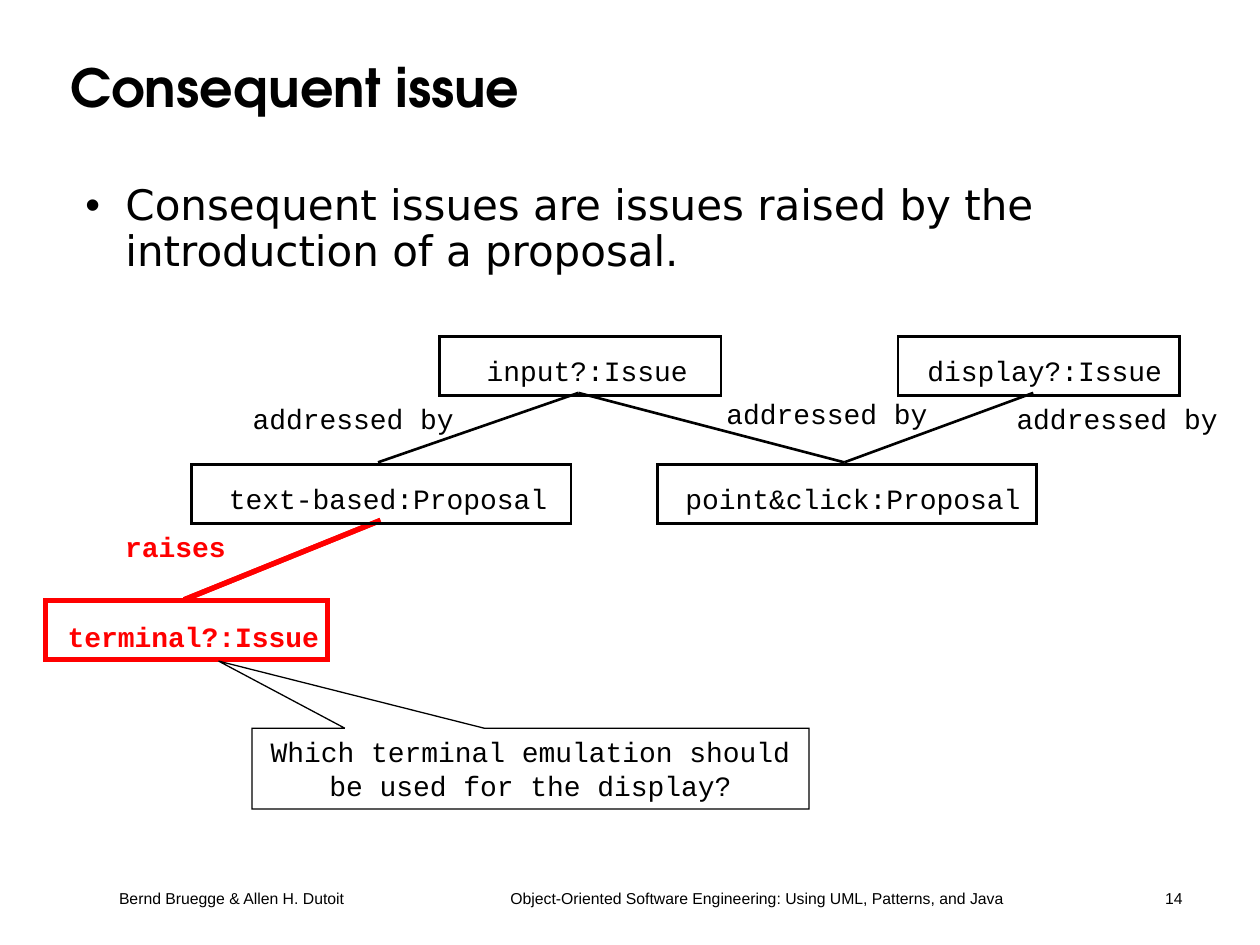
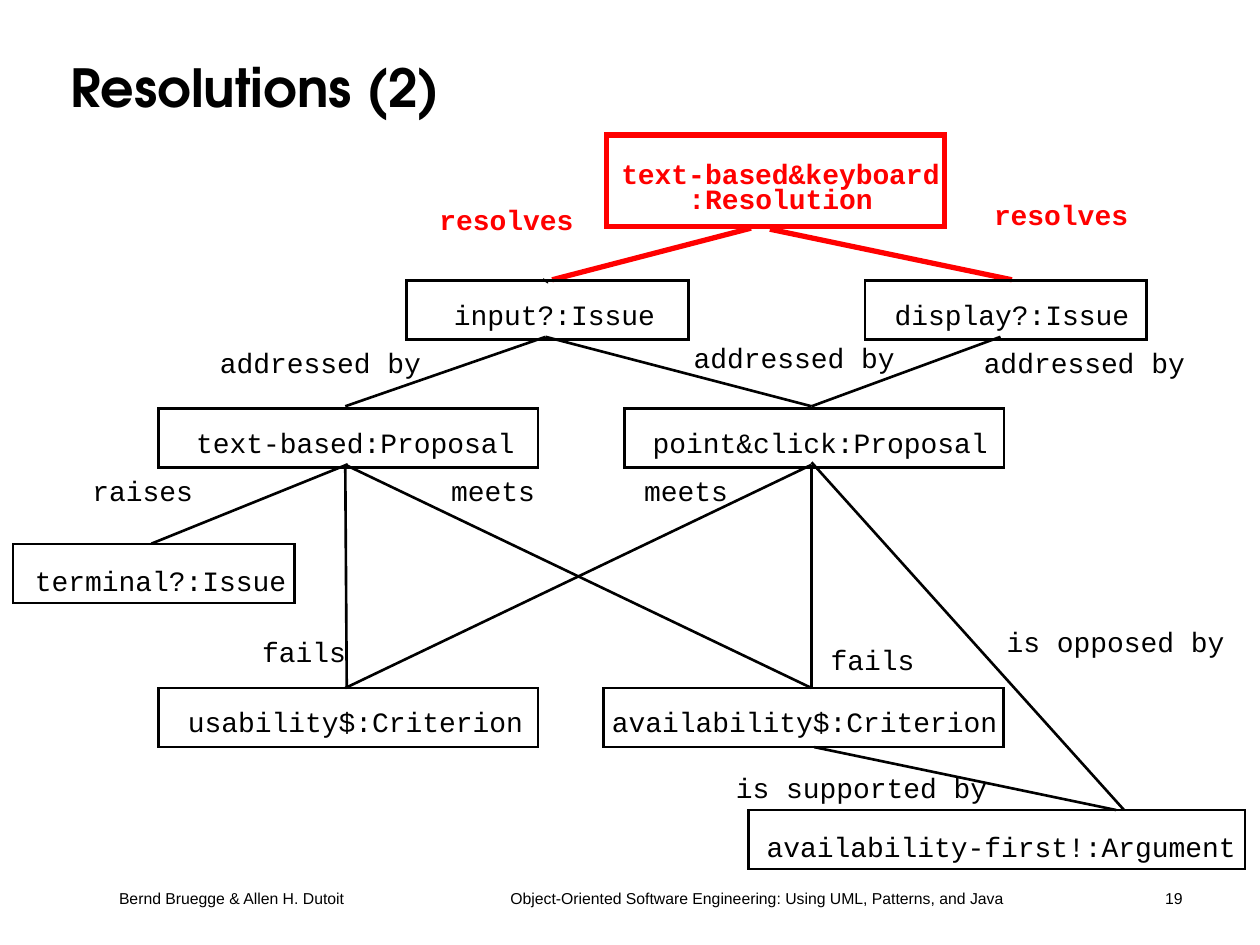
from lxml import etree
from pptx import Presentation
from pptx.dml.color import RGBColor
from pptx.enum.shapes import MSO_CONNECTOR, MSO_SHAPE
from pptx.enum.text import MSO_ANCHOR, PP_ALIGN
from pptx.oxml.ns import qn
from pptx.util import Cm, Pt

RECTANGLE = MSO_SHAPE.RECTANGLE
CALLOUT = MSO_SHAPE.RECTANGULAR_CALLOUT
STRAIGHT = MSO_CONNECTOR.STRAIGHT
TOP, MIDDLE = MSO_ANCHOR.TOP, MSO_ANCHOR.MIDDLE
LEFT, CENTER = PP_ALIGN.LEFT, PP_ALIGN.CENTER

COLORS = {"ink": "000000", "accent": "FF0000", "paper": "FFFFFF"}
TITLE_FONT, BODY_FONT = "TeX Gyre Adventor", "DejaVu Sans"
FOOTER_FONT, CODE_FONT = "Arial", "Courier New"
AUTHORS = "Bernd Bruegge & Allen H. Dutoit"
BOOK = "Object-Oriented Software Engineering: Using UML, Patterns, and Java"

BOX_HEIGHT, LABEL_HEIGHT = 1.19, 0.69
ISSUE_WIDTH, PROPOSAL_WIDTH = 5.68, 7.65

# Issue tree shared by both slides: text, left, top, width, left inset, top inset
TREE_BOXES = [
    ("input?:Issue", 8.86, 6.78, ISSUE_WIDTH, 0.28, 0.34),
    ("display?:Issue", 18.1, 6.78, ISSUE_WIDTH, 0.24, 0.34),
    ("text-based:Proposal", 3.86, 9.37, PROPOSAL_WIDTH, 0.28, 0.34),
    ("point&click:Proposal", 13.25, 9.37, PROPOSAL_WIDTH, 0.24, 0.34),
    ("terminal?:Issue", 0.92, 12.1, ISSUE_WIDTH, 0.28, 0.39),
]
# Links: start x, start y, end x, end y
TREE_LINKS = [
    (11.66, 7.92, 7.62, 9.32),
    (17.02, 9.32, 11.66, 7.92),
    (17.02, 9.32, 20.83, 7.92),
]
RAISES_LINK = (7.67, 10.49, 3.71, 12.09)
# Labels: text, left, top, width
TREE_LABELS = [
    ("addressed by", 5.04, 8.1, 4.16),
    ("addressed by", 14.59, 8.0, 4.16),
    ("addressed by", 20.44, 8.1, 4.16),
    ("raises", 2.47, 10.67, 2.13),
]

# Parts found only on the resolution slide
CRITERION_BOXES = [
    ("usability$:Criterion", 3.2, 13.87, PROPOSAL_WIDTH, 0.28, 0.34),
    ("availability$:Criterion", 12.17, 13.87, 8.06, 0.04, 0.34),
    ("availability-first!:Argument", 15.09, 16.33, 10.01, 0.18, 0.39),
]
CRITERION_LINKS = [
    (6.96, 9.37, 16.36, 13.87),
    (6.96, 9.37, 6.99, 13.87),
    (16.36, 9.37, 16.36, 13.87),
    (16.36, 9.37, 6.96, 13.87),
    (16.36, 9.32, 22.66, 16.33),
    (16.41, 15.06, 22.5, 16.33),
]
CRITERION_LABELS = [
    ("meets", 9.04, 9.55, 1.8),
    ("meets", 12.93, 9.55, 1.8),
    ("fails", 5.23, 12.8, 1.8),
    ("fails", 16.69, 12.95, 1.8),
    ("is supported by", 14.78, 15.54, 5.18),
    ("is opposed by", 20.19, 12.6, 4.6),
]
RESOLUTION_BOX = ("text-based&keyboard\n:Resolution", 12.23, 2.72, 6.81, 0.2, 0.6)
RESOLVES_LINKS = [(11.13, 5.64, 15.14, 4.6), (20.4, 5.64, 15.52, 4.62)]
RESOLVES_LABELS = [("resolves", 8.76, 4.09, 2.9), ("resolves", 19.94, 3.99, 2.9)]
ISSUE_TICK = [(11.05, 5.66), (11.05, 5.72), (10.95, 5.66), (10.95, 5.61)]


def write_text(shape, text, font_name=CODE_FONT, size=16, color="ink", bold=False,
               align=CENTER, anchor=TOP, insets=(0, 0, 0, 0), wrap=False, spacing=None):
    frame = shape.text_frame
    frame.text = text
    frame.word_wrap = wrap
    frame.vertical_anchor = anchor
    frame.margin_left, frame.margin_top, frame.margin_right, frame.margin_bottom = map(Cm, insets)
    for paragraph in frame.paragraphs:
        paragraph.alignment = align
        if spacing:
            paragraph.line_spacing = spacing
        for run in paragraph.runs:
            run.font.name = font_name
            run.font.size = Pt(size)
            run.font.bold = bold
            run.font.color.rgb = RGBColor.from_string(COLORS[color])
    return frame.paragraphs[0]


def style_outline(shape, color, width):
    shape.line.color.rgb = RGBColor.from_string(COLORS[color])
    shape.line.width = Pt(width)
    etree.SubElement(shape.line._ln, qn("a:miter"), lim="800000")


presentation = Presentation()
presentation.slide_width, presentation.slide_height = Cm(25.4), Cm(19.05)
MARGINS = (0.25, 0.13, 0.25, 0.13)

slides = [
    # title, number, tree shift, accented names, boxes, links, accented links, labels
    ("Consequent issue", 14, (0, 0), {"raises", "terminal?:Issue"},
     [], [], [RAISES_LINK], []),
    ("Resolutions (2)", 19, (-0.66, -1.13), {"resolves", RESOLUTION_BOX[0]},
     CRITERION_BOXES + [RESOLUTION_BOX], CRITERION_LINKS, RESOLVES_LINKS,
     CRITERION_LABELS + RESOLVES_LABELS),
]

for title, number, shift, accented, boxes, links, accent_links, labels in slides:
    slide = presentation.slides.add_slide(presentation.slide_layouts[6])
    shift_x, shift_y = shift

    # Footer with tab stops for the book title and the page number
    footer = slide.shapes.add_textbox(Cm(1.47), Cm(17.78), Cm(23.29), Cm(0.64))
    paragraph = write_text(footer, f"{AUTHORS}\t{BOOK}\t{number}", FOOTER_FONT, 9,
                           align=LEFT, insets=(0.93, 0.13, 0, 0.13), wrap=True)
    tab_list = etree.SubElement(paragraph._p.get_or_add_pPr(), qn("a:tabLst"))
    for position in (7.89, 21.09):
        etree.SubElement(tab_list, qn("a:tab"), pos=str(int(Cm(position))), algn="l")

    # Title
    heading = slide.shapes.add_textbox(Cm(1.17), Cm(0.63), Cm(22.66), Cm(2.39))
    write_text(heading, title, TITLE_FONT, 30, bold=True, align=LEFT, anchor=MIDDLE,
               insets=MARGINS, wrap=True, spacing=0.9)

    # Move the shared tree to its place on this slide
    tree_links = [(x1 + shift_x, y1 + shift_y, x2 + shift_x, y2 + shift_y)
                  for x1, y1, x2, y2 in TREE_LINKS + [RAISES_LINK]]
    tree_boxes = [(text, x + shift_x, y + shift_y, *rest) for text, x, y, *rest in TREE_BOXES]
    tree_labels = [(text, x + shift_x, y + shift_y, width) for text, x, y, width in TREE_LABELS]

    # Links lie behind the boxes
    for link in tree_links + links + accent_links:
        connector = slide.shapes.add_connector(STRAIGHT, *map(Cm, link))
        is_accent = link in accent_links
        style_outline(connector, "accent" if is_accent else "ink", 3 if is_accent else 1.5)
        etree.SubElement(connector._element.spPr, qn("a:effectLst"))

    # Boxes
    for text, left, top, width, left_inset, top_inset in tree_boxes + boxes:
        is_accent = text in accented
        is_resolution = text == RESOLUTION_BOX[0]
        height = 1.85 if is_resolution else BOX_HEIGHT
        box = slide.shapes.add_shape(RECTANGLE, Cm(left), Cm(top), Cm(width), Cm(height))
        box.shadow.inherit = False
        box.fill.background()
        color = "accent" if is_accent else "ink"
        style_outline(box, color, 3 if is_accent else 1.5)
        write_text(box, text, color=color, bold=is_accent, insets=(left_inset, top_inset, 0, 0),
                   spacing=Pt(14.4) if is_resolution else None)

    # Labels
    for text, left, top, width in tree_labels + labels:
        label = slide.shapes.add_textbox(Cm(left), Cm(top), Cm(width), Cm(LABEL_HEIGHT))
        is_accent = text in accented
        write_text(label, text, color="accent" if is_accent else "ink", bold=is_accent)

# Small tick on top of the input issue
first_slide, second_slide = presentation.slides
points = [(Cm(x), Cm(y)) for x, y in ISSUE_TICK]
builder = second_slide.shapes.build_freeform(*points[0])
builder.add_line_segments(points[1:], close=True)
tick = builder.convert_to_shape()
tick.shadow.inherit = False
tick.fill.solid()
tick.fill.fore_color.rgb = RGBColor.from_string(COLORS["ink"])
tick.line.fill.background()

# Definition on the first slide
definition = first_slide.shapes.add_textbox(Cm(1.47), Cm(3.59), Cm(22.23), Cm(2.54))
paragraph = write_text(
    definition, "Consequent issues are issues raised by the introduction of a proposal.",
    BODY_FONT, 24, align=LEFT, insets=MARGINS, wrap=True, spacing=0.9)
properties = paragraph._p.get_or_add_pPr()
properties.set("marL", str(int(Cm(0.81))))
properties.set("indent", str(int(Cm(-0.81))))
etree.SubElement(properties, qn("a:buFont"), typeface=FOOTER_FONT)
etree.SubElement(properties, qn("a:buChar"), char="•")

# Callout pointing at the new issue
callout = first_slide.shapes.add_shape(CALLOUT, Cm(5.08), Cm(14.68), Cm(11.23), Cm(1.63))
callout.adjustments[0], callout.adjustments[1] = -0.56, -1.33
callout.shadow.inherit = False
callout.fill.solid()
callout.fill.fore_color.rgb = RGBColor.from_string(COLORS["paper"])
style_outline(callout, "ink", 0.75)
write_text(callout, "Which terminal emulation should be used for the display?",
           anchor=MIDDLE, insets=MARGINS, wrap=True)

presentation.save("out.pptx")
